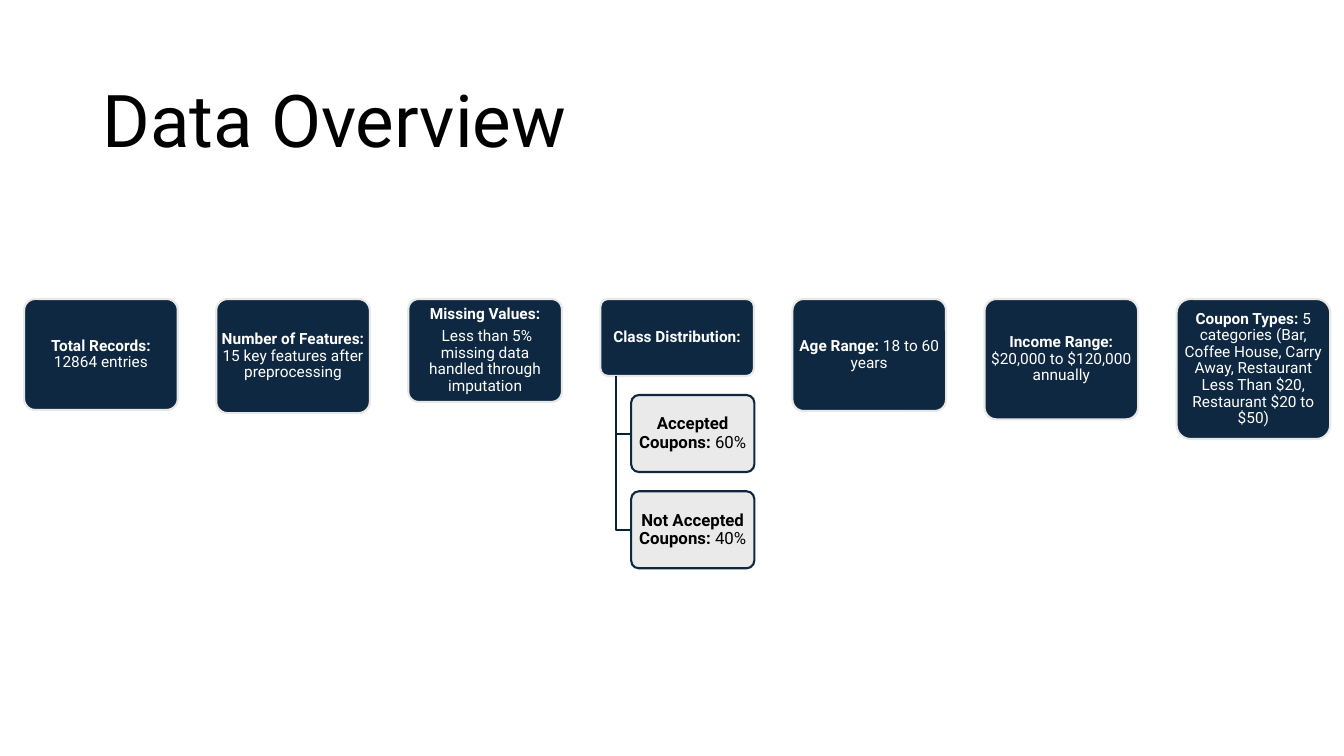
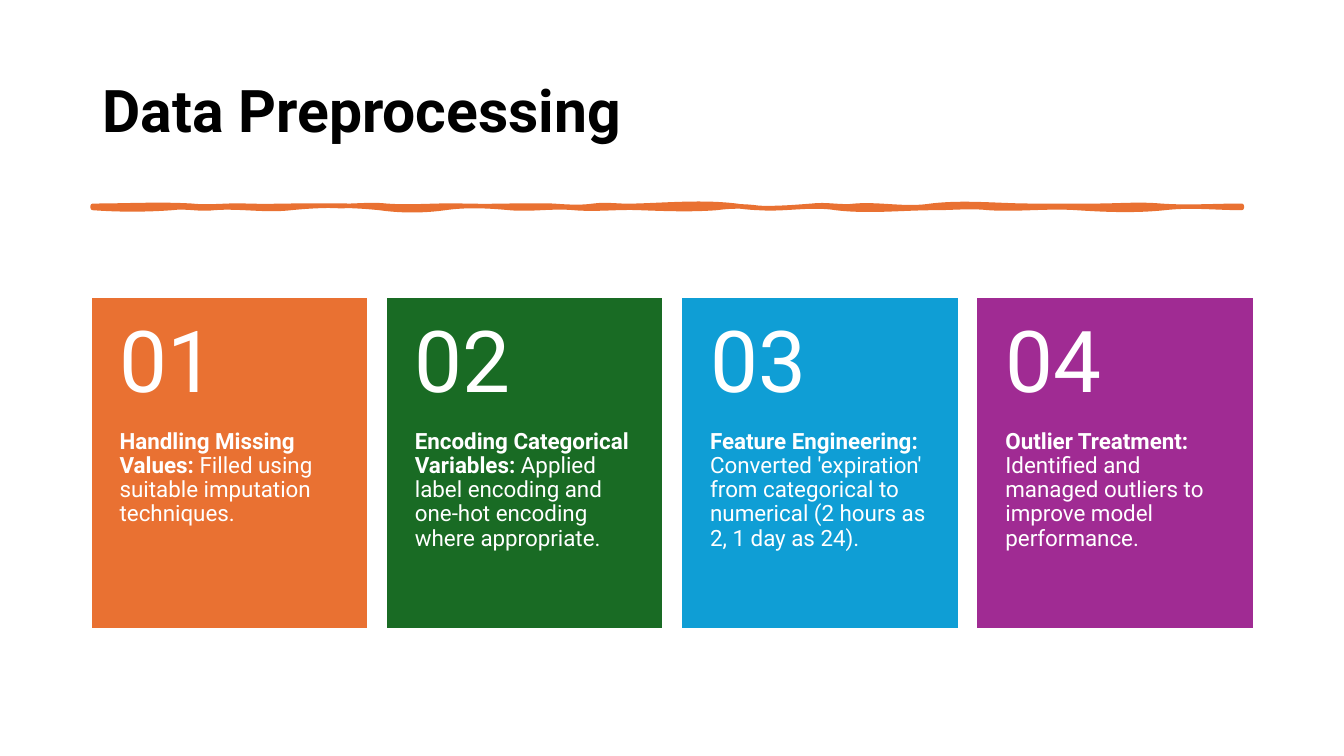
from dataclasses import dataclass

from lxml import etree
from pptx import Presentation
from pptx.dml.color import RGBColor
from pptx.enum.shapes import MSO_SHAPE
from pptx.enum.text import MSO_ANCHOR, PP_ALIGN
from pptx.oxml.ns import qn
from pptx.util import Pt

RECTANGLE = MSO_SHAPE.RECTANGLE
ROUNDED = MSO_SHAPE.ROUNDED_RECTANGLE
TOP = MSO_ANCHOR.TOP
MIDDLE = MSO_ANCHOR.MIDDLE
LEFT = PP_ALIGN.LEFT
CENTER = PP_ALIGN.CENTER


@dataclass(frozen=True)
class Theme:
    font: str = "Roboto"
    black: str = "000000"
    white: str = "FFFFFF"
    navy: str = "0E2841"
    branch: str = "0B2034"
    pale: str = "E8E8E8"
    orange: str = "E97132"
    green: str = "196B24"
    blue: str = "0F9ED5"
    purple: str = "A02B93"
    title_size: int = 52
    bold_title_size: int = 42
    number_size: int = 61
    step_size: int = 16
    child_size: int = 12
    fact_size: int = 11
    outline: float = 1.5
    rule_width: float = 3.25


THEME = Theme()
MARGIN = 66.25
CARD_TOP = 213.6

FACT_LEFT, FACT_WIDTH, FACT_PITCH = 17.25, 109.75, 137.2
FACTS = [
    (79.25, [[("Total Records:", True), (" 12864 entries", False)]]),
    (81.5, [[("Number of Features:", True), (" 15 key features after preprocessing", False)]]),
    (73.5, [[("Missing Values:", True)],
            [(" Less than 5% missing data handled through imputation", False)]]),
    (55, [[("Class Distribution:", True)]]),
    (80, [[("Age Range:", True), (" 18 to 60 years", False)]]),
    (86, [[("Income Range:", True), (" $20,000 to $120,000 annually", False)]]),
    (100, [[("Coupon Types:", True),
            (" 5 categories (Bar, Coffee House, Carry Away, Restaurant Less Than $20, "
             "Restaurant $20 to $50)", False)]]),
]
CLASS_INDEX = 3
CLASSES = [("Accepted Coupons:", " 60%"), ("Not Accepted Coupons:", " 40%")]

STEP_WIDTH, STEP_HEIGHT, STEP_PITCH, NUMBER_HEIGHT = 195.25, 234.25, 210.9, 93.6
STEPS = [
    (THEME.orange, "Handling Missing Values:", " Filled using suitable imputation techniques."),
    (THEME.green, "Encoding Categorical Variables:",
     " Applied label encoding and one-hot encoding where appropriate."),
    (THEME.blue, "Feature Engineering:",
     " Converted 'expiration' from categorical to numerical (2 hours as 2, 1 day as 24)."),
    (THEME.purple, "Outlier Treatment:",
     " Identified and managed outliers to improve model performance."),
]

RULE_RIGHT, RULE_TOP, RULE_BOTTOM = 887, 147, 148.5
UPPER_WAVES = [
    (137, 0, -1.4), (176, 1.4, -0.7), (238, 0.7, -0.7), (276, 0.7, -1.4),
    (331, 1.4, -0.7), (395, 0.7, -0.7), (424, 0.7, 1.4), (454, -1.4, 0.7),
    (526, -0.7, -2.9), (580, 2.9, 1.4), (611, -1.4, 1.4), (665, -1.4, 2.9),
    (737, -2.9, 0), (783, 0, 0), (829, 0, -1.4), (RULE_RIGHT, 1.4, 0),
]
LOWER_WAVES = [
    (832, 0, -2.2), (769, 2.2, 1.4), (706, -1.4, 1.4), (668, -1.4, 0),
    (597, 0, 2.9), (542, -2.9, 1.4), (512, -1.4, -1.4), (457, 1.4, 0.7),
    (410, -0.7, 1.4), (364, -1.4, 1.4), (318, -1.4, -2.2), (271, 2.2, 2.2),
    (208, -2.2, -2.2), (153, 2.2, -1.4), (123, 1.4, -1.4), (MARGIN, 1.4, 1.4),
]


def color(code):
    return RGBColor.from_string(code)


def write_text(shape, paragraphs, *, size, ink, align=LEFT, anchor=MIDDLE,
               insets=(7.2, 3.6, 7.2, 3.6), after=0.0):
    frame = shape.text_frame
    frame.word_wrap = True
    frame.vertical_anchor = anchor
    left, top, right, bottom = insets
    frame.margin_left, frame.margin_top = Pt(left), Pt(top)
    frame.margin_right, frame.margin_bottom = Pt(right), Pt(bottom)
    for index, spans in enumerate(paragraphs):
        para = frame.add_paragraph() if index else frame.paragraphs[0]
        para.alignment = align
        para.line_spacing = 0.9
        para.space_after = Pt(after * size)
        for text, bold in spans:
            span = para.add_run()
            span.text = text
            span.font.name = THEME.font
            span.font.size = Pt(size)
            span.font.bold = bold
            span.font.color.rgb = color(ink)


def add_text_box(page, left, top, width, height, paragraphs, **text_format):
    box = page.shapes.add_textbox(Pt(left), Pt(top), Pt(width), Pt(height))
    write_text(box, paragraphs, **text_format)


def add_card(page, preset, left, top, width, height, fill, line, opacity=None):
    card = page.shapes.add_shape(preset, Pt(left), Pt(top), Pt(width), Pt(height))
    card.shadow.inherit = False
    card.fill.solid()
    card.fill.fore_color.rgb = color(fill)
    card.line.color.rgb = color(line)
    card.line.width = Pt(THEME.outline)
    etree.SubElement(card._element.spPr.find(qn("a:ln")), qn("a:miter"), lim="800000")
    if preset == ROUNDED:
        card.adjustments[0] = 0.1
    if opacity:
        paint = card._element.spPr.find(qn("a:solidFill"))[0]
        etree.SubElement(paint, qn("a:alpha"), val=str(opacity * 1000))
    return card


def add_outline(page, points, line, width, fill=None):
    corners = [(Pt(x), Pt(y)) for x, y in points]
    builder = page.shapes.build_freeform(*corners[0])
    builder.add_line_segments(corners[1:], close=fill is not None)
    outline = builder.convert_to_shape()
    outline.shadow.inherit = False
    outline.line.color.rgb = color(line)
    outline.line.width = Pt(width)
    if fill:
        outline.fill.solid()
        outline.fill.fore_color.rgb = color(fill)
    else:
        outline.fill.background()
    return outline


def bend_segments(outline, bends):
    corners = [(int(point.get("x")), int(point.get("y")))
               for point in outline._element.iter(qn("a:pt"))]
    segments = list(outline._element.iter(qn("a:lnTo")))
    for segment, (x1, y1), (x2, y2), (first, second) in zip(
            segments, corners, corners[1:], bends):
        third = (x2 - x1) // 3
        segment.tag = qn("a:cubicBezTo")
        controls = [(x1 + third, y1 + Pt(first)), (x2 - third, y2 + Pt(second))]
        for index, (x, y) in enumerate(controls):
            control = etree.Element(qn("a:pt"), x=str(x), y=str(y))
            segment.insert(index, control)


def add_wavy_rule(page):
    upper = [(MARGIN, RULE_TOP)] + [(x, RULE_TOP) for x, _, _ in UPPER_WAVES]
    lower = [(RULE_RIGHT, RULE_BOTTOM)] + [(x, RULE_BOTTOM) for x, _, _ in LOWER_WAVES]
    rule = add_outline(page, upper + lower, THEME.orange, THEME.rule_width, fill=THEME.orange)
    right_end = (RULE_RIGHT, 0, 0)
    bend_segments(rule, [bends for _, *bends in [*UPPER_WAVES, right_end, *LOWER_WAVES]])


def add_class_tree(page, left):
    width, height, trunk = 88, 55, left + 11
    for index, (heading, share) in enumerate(CLASSES):
        top = 282.2 + index * 68.75
        middle = top + height / 2
        child_left = trunk + 11
        add_outline(page, [(trunk, CARD_TOP + height), (trunk, middle), (child_left, middle)],
                    THEME.branch, THEME.outline)
        card = add_card(page, ROUNDED, child_left, top, width, height,
                        THEME.pale, THEME.navy, opacity=90)
        write_text(card, [[(heading, True), (share, False)]], size=THEME.child_size,
                   ink=THEME.black, align=CENTER, insets=(2, 1.5, 2, 1.5), after=0.35)


def build_overview(page):
    add_text_box(page, MARGIN, 44, 828, 89, [[("Data Overview", False)]],
                 size=THEME.title_size, ink=THEME.black)
    for index, (height, paragraphs) in enumerate(FACTS):
        left = FACT_LEFT + index * FACT_PITCH
        card = add_card(page, ROUNDED, left, CARD_TOP, FACT_WIDTH, height,
                        THEME.navy, THEME.pale)
        write_text(card, paragraphs, size=THEME.fact_size, ink=THEME.white,
                   align=CENTER, insets=(1.5, 1.5, 1.5, 1.5), after=0.35)
    add_class_tree(page, FACT_LEFT + CLASS_INDEX * FACT_PITCH)


def build_preprocessing(page):
    add_text_box(page, MARGIN, 29, 594, 104, [[("Data Preprocessing", True)]],
                 size=THEME.bold_title_size, ink=THEME.black)
    add_wavy_rule(page)
    for index, (fill, heading, detail) in enumerate(STEPS):
        left = MARGIN + index * STEP_PITCH
        card = add_card(page, RECTANGLE, left, CARD_TOP, STEP_WIDTH, STEP_HEIGHT, fill, fill)
        write_text(card, [[(heading, True), (detail, False)]], size=THEME.step_size,
                   ink=THEME.white, anchor=TOP, insets=(19.25, NUMBER_HEIGHT, 19.25, 26),
                   after=0.35)
        add_text_box(page, left, CARD_TOP, STEP_WIDTH, NUMBER_HEIGHT,
                     [[(f"{index + 1:02}", False)]], size=THEME.number_size,
                     ink=THEME.white, insets=(19.25, 13, 19.25, 13), after=0.35)


def main():
    deck = Presentation()
    deck.slide_width, deck.slide_height = Pt(960), Pt(540)
    blank = deck.slide_layouts[6]
    for build in (build_overview, build_preprocessing):
        build(deck.slides.add_slide(blank))
    deck.save("out.pptx")


if __name__ == "__main__":
    main()
